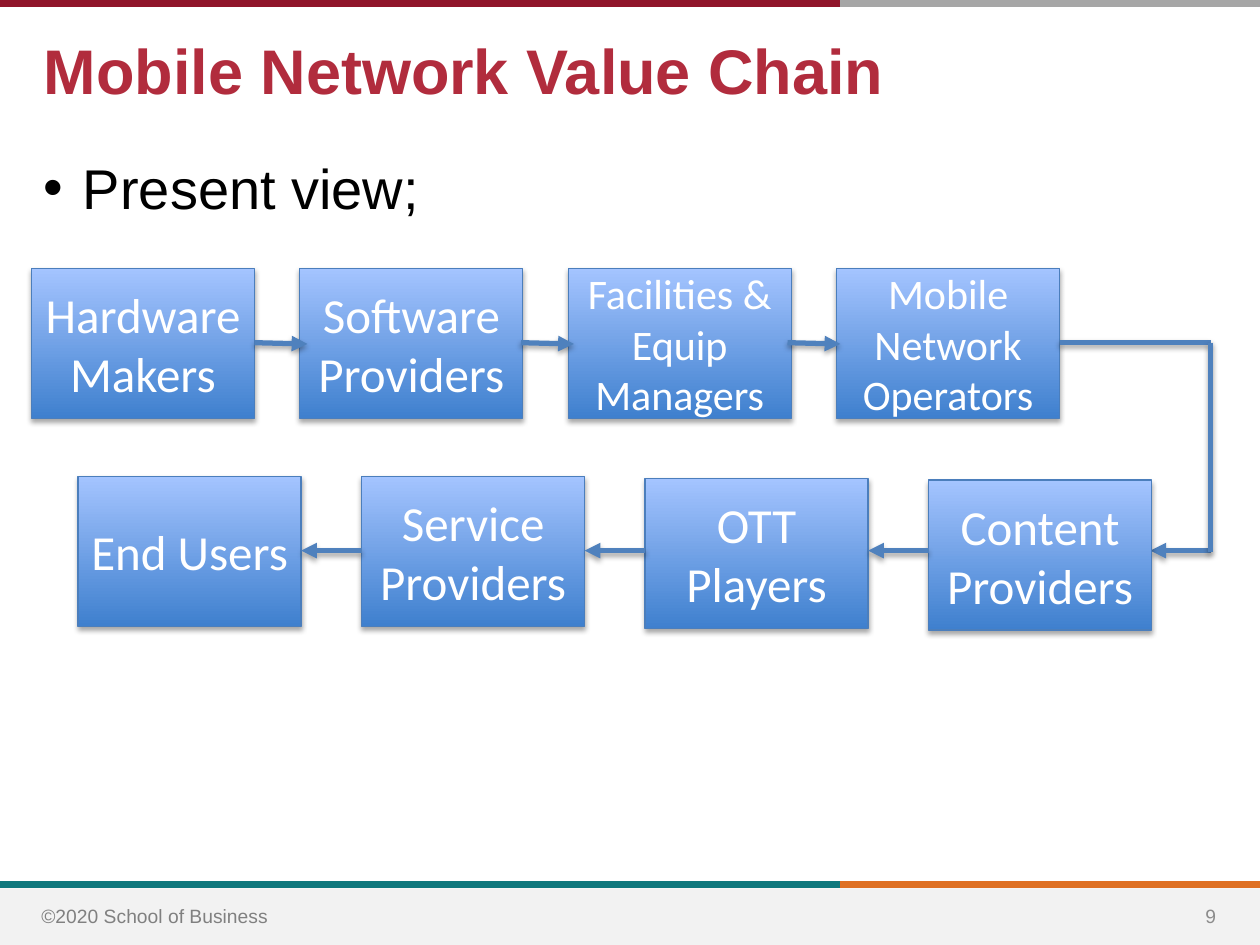
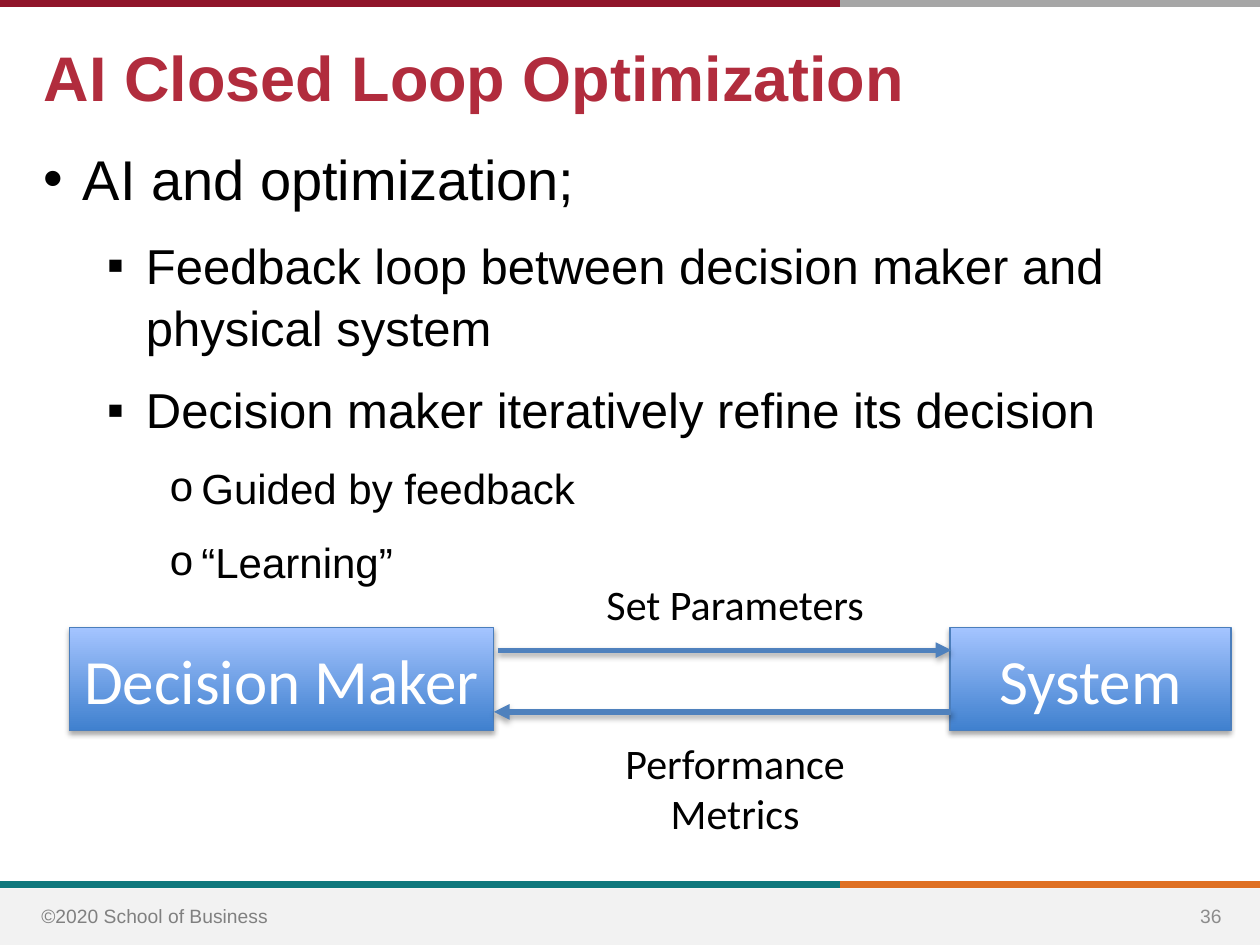
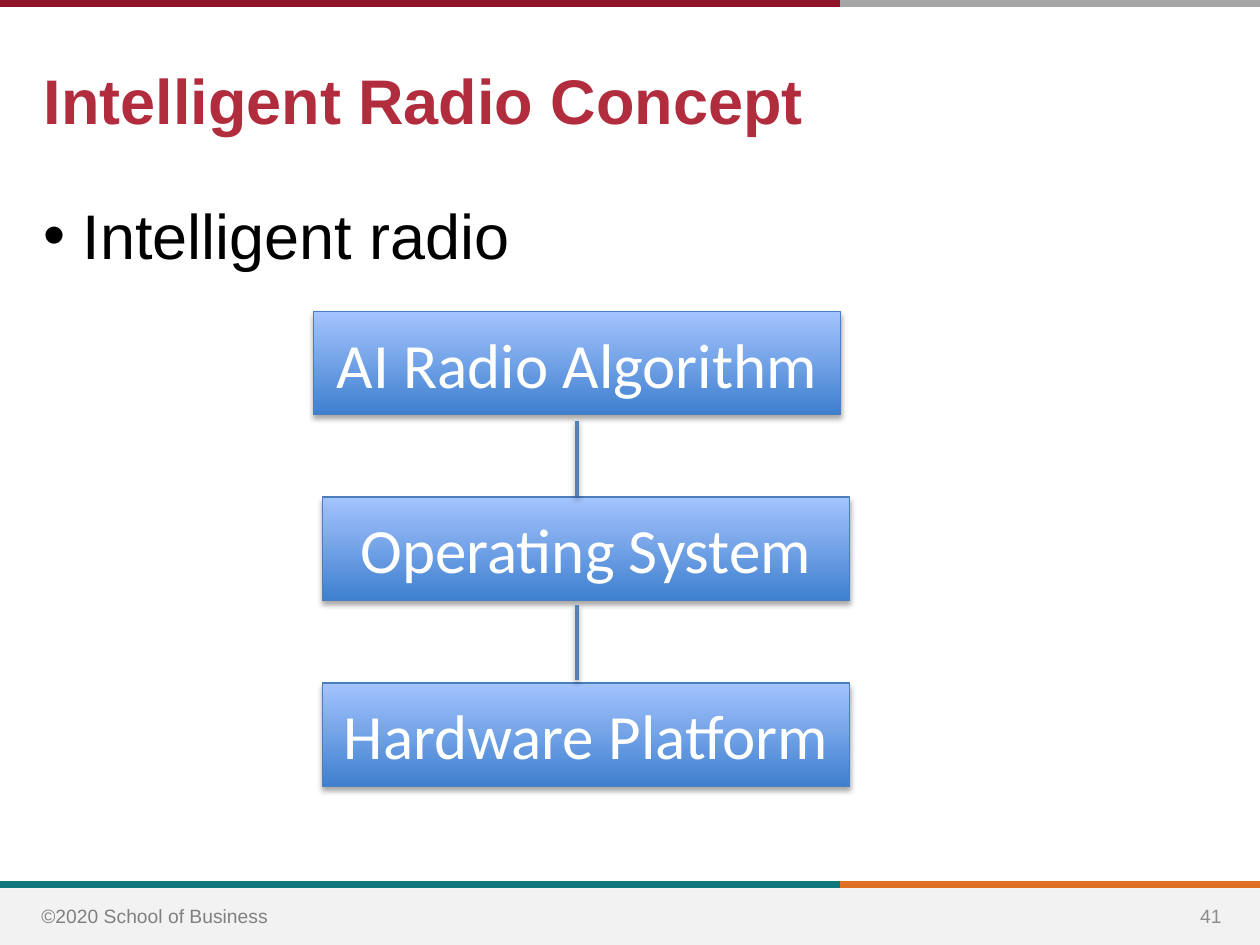
import pptx
import pptx.util
import pptx.dml.color
import pptx.enum.shapes
import pptx.enum.text
import pptx.oxml
import pptx.oxml.ns
from lxml import etree

Inches = pptx.util.Inches
Pt = pptx.util.Pt
RGB = pptx.dml.color.RGBColor
ALIGN = pptx.enum.text.PP_ALIGN
ANCHOR = pptx.enum.text.MSO_ANCHOR
qn = pptx.oxml.ns.qn

CRIMSON = RGB(0x90, 0x15, 0x2A)
SILVER = RGB(0xA6, 0xA6, 0xA6)
TEAL = RGB(0x0F, 0x78, 0x7D)
ORANGE = RGB(0xDF, 0x70, 0x23)
FOOTER_FILL = RGB(0xF2, 0xF2, 0xF2)
FOOTER_TEXT = RGB(0x80, 0x80, 0x80)
PAGE_TEXT = RGB(0x8C, 0x8C, 0x8C)
TITLE_RED = RGB(0xB1, 0x2C, 0x3D)
BLACK = RGB(0, 0, 0)
WHITE = RGB(0xFF, 0xFF, 0xFF)
BOX_BOTTOM = RGB(0x3F, 0x80, 0xCE)
BOX_TOP = RGB(0xA4, 0xC4, 0xFF)
BOX_EDGE = RGB(0x4B, 0x7E, 0xBC)
LINK_BLUE = RGB(0x4F, 0x81, 0xBD)

FOOTER = "©2020 School of Business"
BAND_SPLIT = 6.67

# bullet, left indent, hanging indent for each level
LEVELS = [("•", 0.31, 0.31), ("▪", 0.81, 0.31), ("o", 1.25, 0.25)]

# title, title place, page, body place, body paragraphs (level, size, text)
VALUE_CHAIN = ("Mobile Network Value Chain", (0.25, 0.2, 8.82, 0.75), "9",
               (0.25, 1.14, 9.62, 0.75), [(0, 32, "Present view;")])
CLOSED_LOOP = ("AI Closed Loop Optimization", (0.25, 0.26, 8.68, 0.66), "36",
               (0.25, 1.07, 9.51, 3.46), [
                   (0, 32, "AI and optimization;"),
                   (1, 28, "Feedback loop between decision maker and physical system"),
                   (1, 28, "Decision maker iteratively refine its decision"),
                   (2, 24, "Guided by feedback"),
                   (2, 24, "“Learning”")])
RADIO = ("Intelligent Radio Concept", (0.25, 0.44, 8.68, 0.71), "41",
         (0.25, 1.48, 9.51, 5.08), [(0, 36, "Intelligent radio")])

SUPPLY_ROW = [("Hardware Makers", 28), ("Software Providers", 28),
              ("Facilities & Equip Managers", 24), ("Mobile Network Operators", 24)]
DELIVERY_ROW = [("End Users", 3.78), ("Service Providers", 3.78),
                ("OTT Players", 3.8), ("Content Providers", 3.81)]
RADIO_LAYERS = [("AI Radio Algorithm", 2.49), ("Operating System", 2.56),
                ("Hardware Platform", 2.56)]


def add_run(p, text, size, color, font="Arial", bold=False):
    r = p.add_run()
    r.text = text
    r.font.name, r.font.size, r.font.bold = font, Pt(size), bold
    r.font.color.rgb = color


def add_text(slide, place, text, size, color, font="Arial", bold=False,
             align=ALIGN.LEFT, anchor=ANCHOR.TOP):
    tf = slide.shapes.add_textbox(*map(Inches, place)).text_frame
    tf.word_wrap = True
    tf.vertical_anchor = anchor
    tf.paragraphs[0].alignment = align
    add_run(tf.paragraphs[0], text, size, color, font, bold)


def add_soft_shadow(effects):
    shadow = etree.SubElement(effects, qn("a:outerShdw"), blurRad=str(Pt(3.1)),
                              dist=str(Pt(1.8)), dir="5400000", rotWithShape="0")
    color = etree.SubElement(shadow, qn("a:srgbClr"), val="000000")
    etree.SubElement(color, qn("a:alpha"), val="35000")


def add_line(slide, start, end, color=LINK_BLUE, weight=3, arrow=False, shadow=True):
    s = slide.shapes.add_connector(pptx.enum.shapes.MSO_CONNECTOR.STRAIGHT,
                                   *map(Inches, start + end))
    s.line.color.rgb = color
    s.line.width = Pt(weight)
    if arrow:
        etree.SubElement(s.line._get_or_add_ln(), qn("a:tailEnd"), type="triangle")
    effects = etree.SubElement(s._element.spPr, qn("a:effectLst"))
    if shadow:
        add_soft_shadow(effects)


def add_rect(slide, place):
    s = slide.shapes.add_shape(pptx.enum.shapes.MSO_SHAPE.RECTANGLE, *map(Inches, place))
    s.shadow.inherit = False
    return s


def add_box(slide, place, text, size):
    """Shaded blue box with a centred label."""
    s = add_rect(slide, place)
    s.fill.gradient()
    s.fill.gradient_angle = 90
    for stop, color in zip(s.fill.gradient_stops, (BOX_BOTTOM, BOX_TOP)):
        stop.color.rgb = color
    s.line.color.rgb = BOX_EDGE
    s.line.width = Pt(0.75)
    add_soft_shadow(s._element.spPr.find(qn("a:effectLst")))
    tf = s.text_frame
    tf.word_wrap = True
    tf.vertical_anchor = ANCHOR.MIDDLE
    tf.paragraphs[0].alignment = ALIGN.CENTER
    add_run(tf.paragraphs[0], text, size, WHITE, "Calibri")


def add_body(slide, place, items):
    tf = slide.shapes.add_textbox(*map(Inches, place)).text_frame
    tf.word_wrap = True
    for i, (level, size, text) in enumerate(items):
        p = tf.paragraphs[0] if i == 0 else tf.add_paragraph()
        p.level = level
        p.space_after = Pt(12)
        p.line_spacing = 1.05
        bullet, left, hang = LEVELS[level]
        pPr = p._p.get_or_add_pPr()
        pPr.set("marL", str(Inches(left)))
        pPr.set("indent", str(-Inches(hang)))
        etree.SubElement(pPr, qn("a:buFont"), typeface="Arial")
        etree.SubElement(pPr, qn("a:buChar"), char=bullet)
        add_run(p, text, size, BLACK)


def add_base_slide(prs, content):
    """Slide with bands, footer, title and bulleted body."""
    title, title_place, page, body_place, items = content
    slide = prs.slides.add_slide(prs.slide_layouts[6])
    for y, left_color, right_color in ((7.02, TEAL, ORANGE), (0.03, CRIMSON, SILVER)):
        add_line(slide, (BAND_SPLIT, y), (10, y), right_color, 4, shadow=False)
        add_line(slide, (0, y), (BAND_SPLIT, y), left_color, 4, shadow=False)
    strip = add_rect(slide, (0, 7.05, 10, 0.45))
    strip.fill.solid()
    strip.fill.fore_color.rgb = FOOTER_FILL
    strip.line.fill.background()
    add_text(slide, (0.23, 7.13, 4.8, 0.29), FOOTER, 11, FOOTER_TEXT)
    add_text(slide, (9.35, 7.07, 0.52, 0.4), page, 11, PAGE_TEXT,
             align=ALIGN.CENTER, anchor=ANCHOR.MIDDLE)
    add_text(slide, title_place, title, 36, TITLE_RED, bold=True)
    add_body(slide, body_place, items)
    return slide


def build_value_chain(prs):
    slide = add_base_slide(prs, VALUE_CHAIN)
    width, height = 1.77, 1.19
    turn_x, supply_y, delivery_y = 9.61, 2.72, 4.37
    for i, (label, size) in enumerate(SUPPLY_ROW):
        add_box(slide, (0.25 + 2.13 * i, 2.13, width, height), label, size)
    for i, (label, top) in enumerate(DELIVERY_ROW):
        left = 0.62 + 2.25 * i
        add_box(slide, (left, top, width, height), label, 28)
        start = left if i else turn_x
        add_line(slide, (start, delivery_y), (start - 0.48, delivery_y), arrow=True)
    for i in range(len(SUPPLY_ROW) - 1):
        start = 2.02 + 2.115 * i
        add_line(slide, (start, supply_y), (start + 0.42, supply_y + 0.01), arrow=True)
    add_line(slide, (8.41, supply_y), (turn_x, supply_y))
    add_line(slide, (turn_x, supply_y), (turn_x, delivery_y + 0.01))


def build_closed_loop(prs):
    slide = add_base_slide(prs, CLOSED_LOOP)
    add_box(slide, (0.55, 4.98, 3.37, 0.82), "Decision Maker", 36)
    add_box(slide, (7.54, 4.98, 2.23, 0.82), "System", 36)
    add_line(slide, (3.95, 5.16), (7.55, 5.16), arrow=True)
    add_line(slide, (7.55, 5.65), (3.92, 5.65), arrow=True)
    for label, top, height in (("Set Parameters", 4.54, 0.5),
                               ("Performance Metrics", 5.8, 0.91)):
        add_text(slide, (4.61, top, 2.45, height), label, 24, BLACK, "Calibri",
                 align=ALIGN.CENTER)


def build_radio(prs):
    slide = add_base_slide(prs, RADIO)
    for i, (label, left) in enumerate(RADIO_LAYERS):
        add_box(slide, (left, 2.47 + 1.475 * i, 4.18, 0.82), label, 36)
    for top in (3.34, 4.8):
        add_line(slide, (4.58, top), (4.58, top + 0.6), weight=2)


def main():
    prs = pptx.Presentation()
    prs.slide_width, prs.slide_height = Inches(10), Inches(7.5)
    build_value_chain(prs)
    build_closed_loop(prs)
    build_radio(prs)
    prs.save("out.pptx")


if __name__ == "__main__":
    main()
